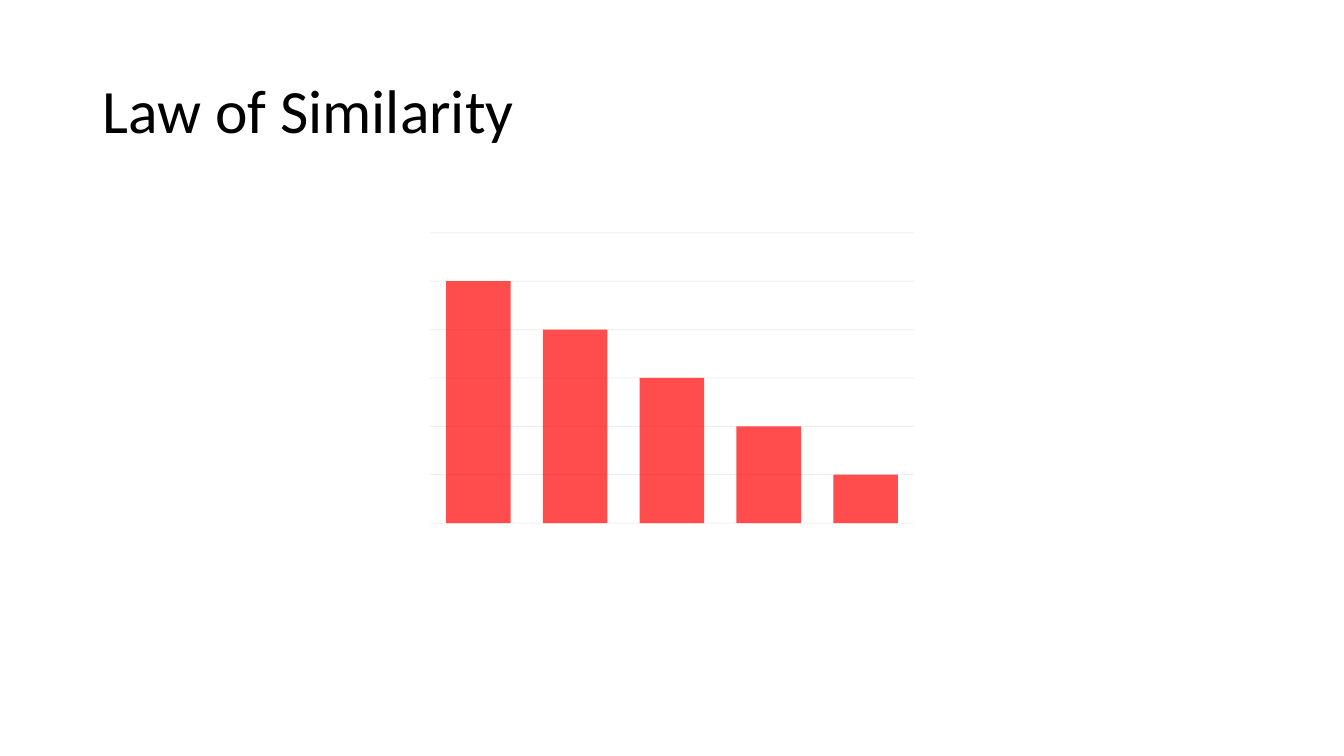
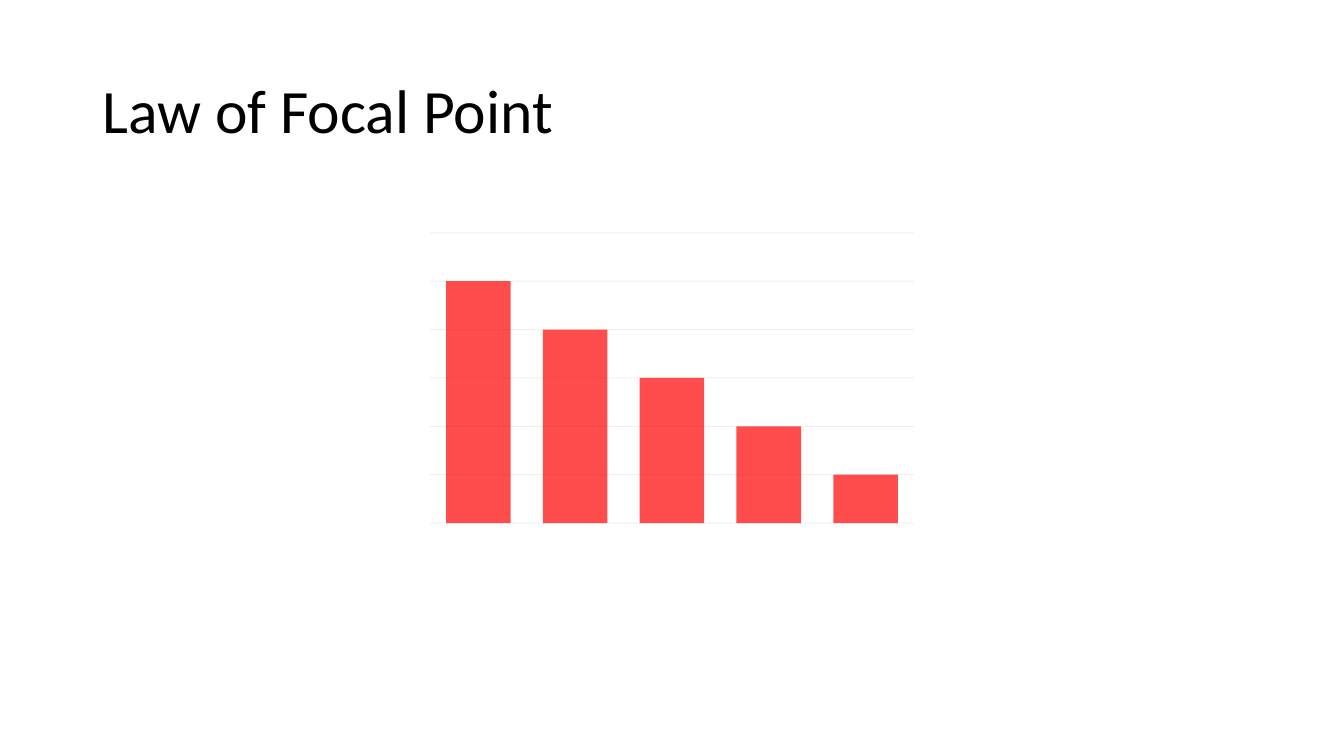
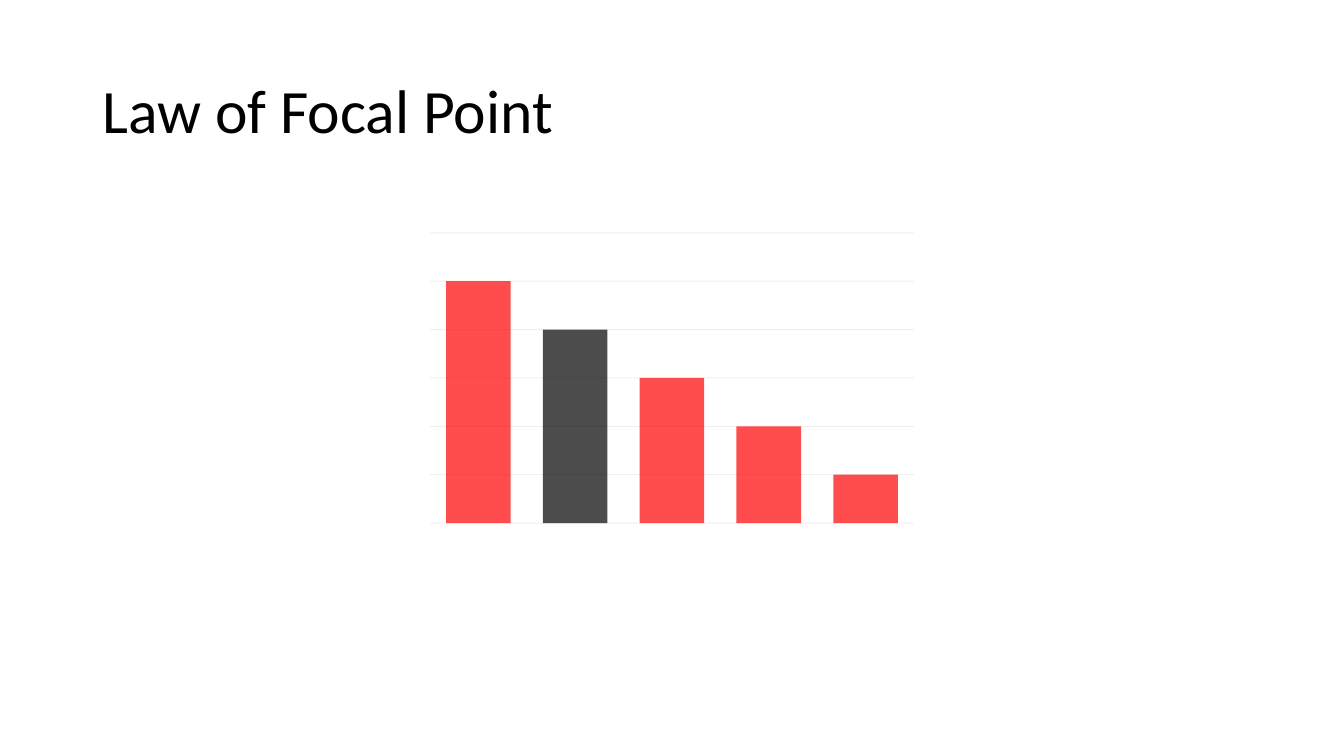
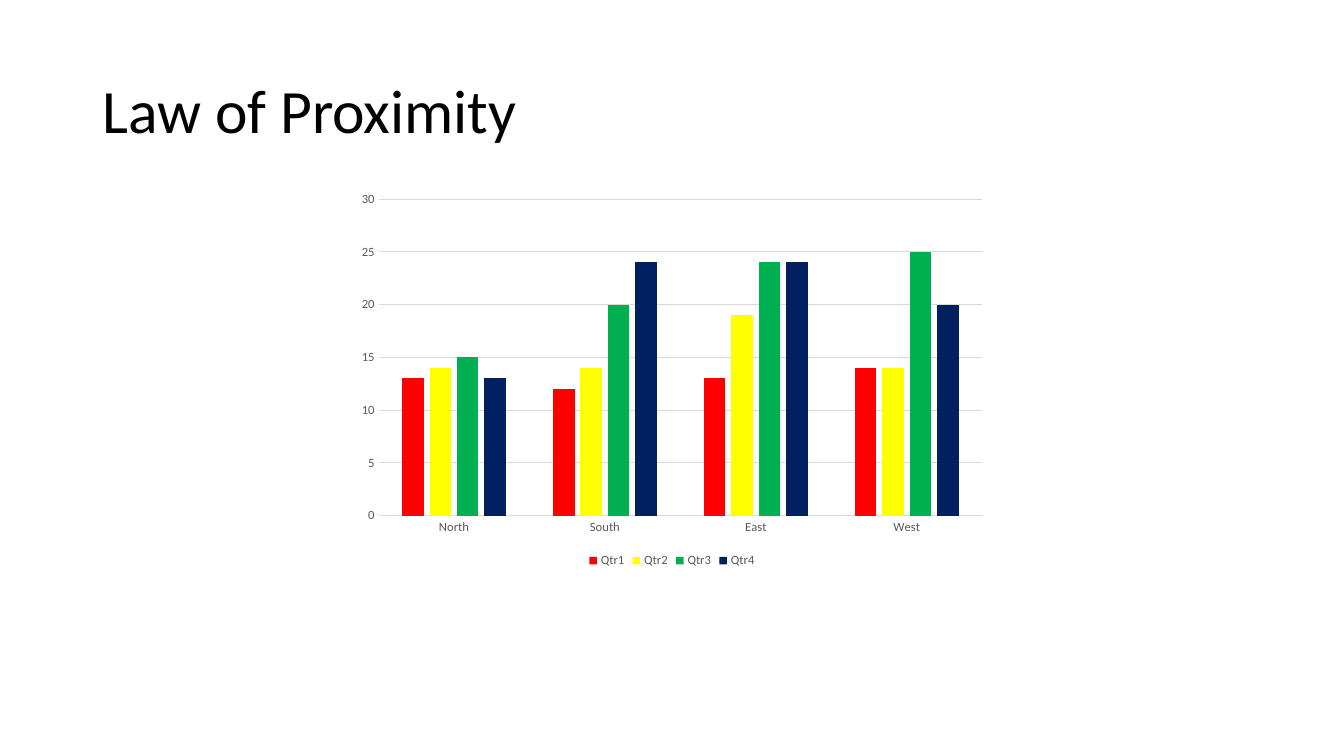
from lxml.etree import SubElement
from pptx import Presentation
from pptx.chart.data import CategoryChartData as ChartData
from pptx.dml.color import RGBColor
from pptx.enum.chart import XL_CHART_TYPE as ChartType
from pptx.enum.chart import XL_LEGEND_POSITION as LegendPosition
from pptx.enum.chart import XL_TICK_MARK as TickMark
from pptx.enum.text import MSO_ANCHOR as Anchor
from pptx.oxml.ns import qn
from pptx.util import Inches, Pt

WIDTH, HEIGHT = 13.33, 7.5
FONT = "Calibri"
COLORS = {
    "black": "000000",
    "label": "595959",
    "grid": "D9D9D9",
    "red": "FF0000",
    "yellow": "FFFF00",
    "green": "00B050",
    "navy": "002060",
}
RANKING = {
    "type": ChartType.COLUMN_STACKED,
    "size": (5, 3),
    "categories": ["1", "2", "3", "4", "5"],
    "series": [("Series 1", (100, 80, 60, 40, 20), "red")],
    "scale": (120, 20),
    "gap": 50,
    "overlap": 100,
    "labelled": False,
}
QUARTERS = {
    "type": ChartType.COLUMN_CLUSTERED,
    "size": (6.41, 3.85),
    "categories": ["North", "South", "East", "West"],
    "series": [
        ("Qtr1", (13, 12, 13, 14), "red"),
        ("Qtr2", (14, 14, 19, 14), "yellow"),
        ("Qtr3", (15, 20, 24, 25), "green"),
        ("Qtr4", (13, 24, 24, 20), "navy"),
    ],
    "scale": (30, 5),
    "gap": 219,
    "overlap": -27,
    "labelled": True,
}
SLIDES = [
    ("Law of Similarity", RANKING, None),
    ("Law of Focal Point", RANKING, None),
    ("Law of Focal Point", RANKING, 1),
    ("Law of Proximity", QUARTERS, None),
]


def style_font(font, size, color):
    font.name = FONT
    font.size = Pt(size)
    font.color.rgb = RGBColor.from_string(COLORS[color])


def set_opacity(element, percent):
    for color in element.xpath(".//a:srgbClr"):
        SubElement(color, qn("a:alpha")).set("val", str(percent * 1000))


deck = Presentation()
deck.slide_width, deck.slide_height = Inches(WIDTH), Inches(HEIGHT)

for title, design, focus in SLIDES:
    page = deck.slides.add_slide(deck.slide_layouts[6])

    box = page.shapes.add_textbox(
        Inches((WIDTH - 11.5) / 2), Inches(0.4), Inches(11.5), Inches(1.45)
    )
    frame = box.text_frame
    frame.word_wrap = True
    frame.vertical_anchor = Anchor.MIDDLE
    para = frame.paragraphs[0]
    para.text = title
    para.line_spacing = 0.9
    style_font(para.font, 44, "black")

    data = ChartData()
    data.categories = design["categories"]
    for name, values, color in design["series"]:
        data.add_series(name, values)
    width, height = design["size"]
    chart = page.shapes.add_chart(
        design["type"],
        Inches((WIDTH - width) / 2), Inches((HEIGHT - height) / 2),
        Inches(width), Inches(height), data,
    ).chart
    chart.has_title = False
    chart.has_legend = design["labelled"]
    style_font(chart.font, 10, "black")

    plot = chart.plots[0]
    plot.vary_by_categories = False
    plot.gap_width, plot.overlap = design["gap"], design["overlap"]
    for series, (name, values, color) in zip(plot.series, design["series"]):
        series.invert_if_negative = False
        series.format.fill.solid()
        series.format.fill.fore_color.rgb = RGBColor.from_string(COLORS[color])

    value_axis, category_axis = chart.value_axis, chart.category_axis
    value_axis.minimum_scale = 0
    value_axis.maximum_scale, value_axis.major_unit = design["scale"]
    value_axis.has_major_gridlines = True
    for line in (value_axis.major_gridlines.format.line, category_axis.format.line):
        line.color.rgb = RGBColor.from_string(COLORS["grid"])
        line.width = Pt(0.75)
    value_axis.format.line.fill.background()

    for axis in (value_axis, category_axis):
        axis.visible = design["labelled"]
        axis.major_tick_mark = axis.minor_tick_mark = TickMark.NONE
        style_font(axis.tick_labels.font, 9, "label")

    if design["labelled"]:
        chart.legend.position = LegendPosition.BOTTOM
        chart.legend.include_in_layout = False
        style_font(chart.legend.font, 9, "label")
    else:
        bars = plot.series[0]
        if focus is not None:
            fill = bars.points[focus].format.fill
            fill.solid()
            fill.fore_color.rgb = RGBColor.from_string(COLORS["black"])
        set_opacity(bars.format.fill and bars._element, 70)
        set_opacity(value_axis.major_gridlines.format.line and value_axis._element.find(qn("c:majorGridlines")), 40)

deck.save("out.pptx")
